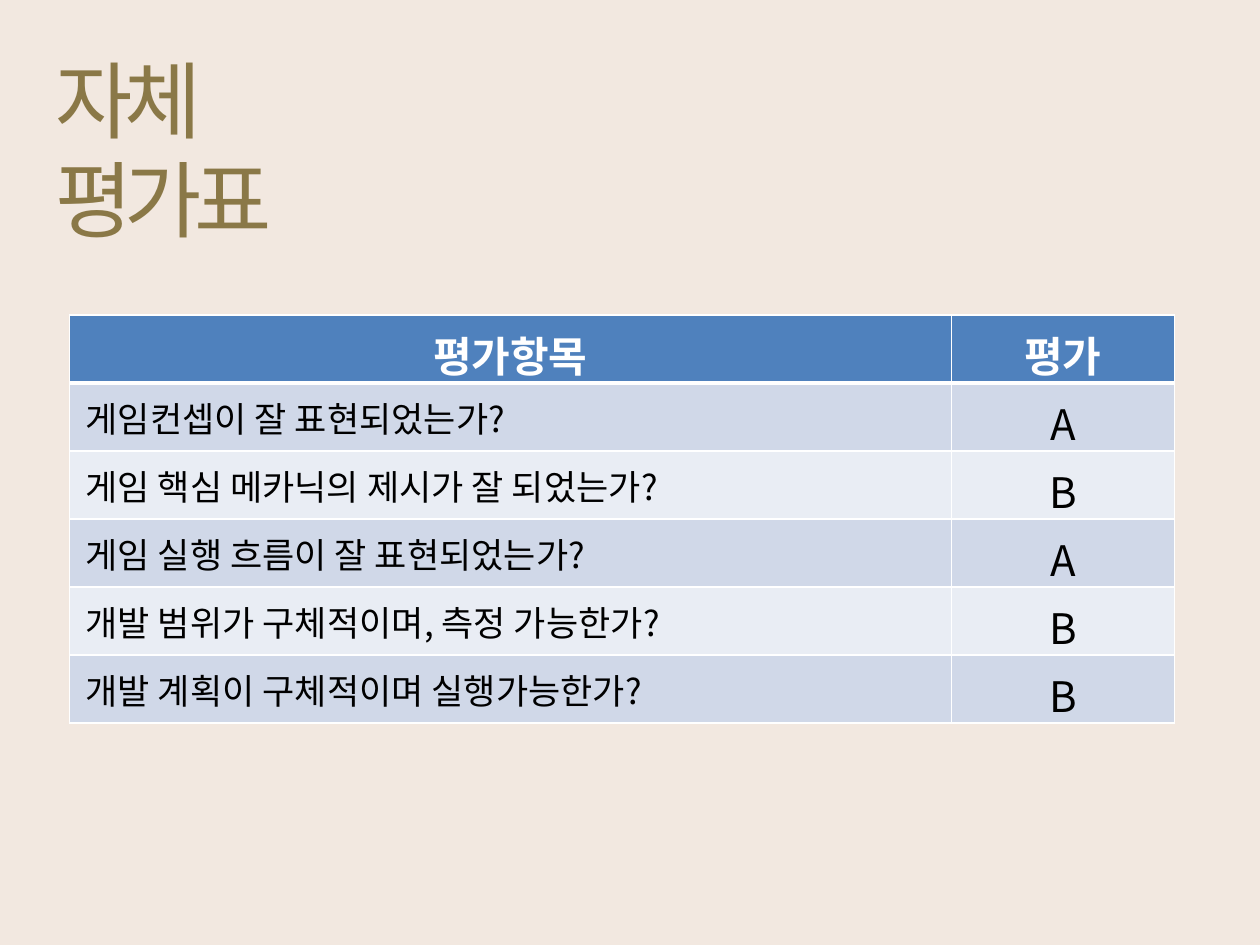
from pptx import Presentation
from pptx.dml.color import RGBColor as RGB
from pptx.enum.text import MSO_ANCHOR as Anchor, MSO_AUTO_SIZE as Fit, PP_ALIGN as Align
from pptx.oxml import parse_xml
from pptx.oxml.ns import nsdecls, qn
from pptx.oxml.xmlchemy import OxmlElement as Node
from pptx.util import Inches, Pt

FONT = "Noto Sans CJK KR"
HUES = {"back": "984807", "title": "7A662E", "head": "4F81BD",
        "odd": "D0D8E8", "even": "E9EDF4", "white": "FFFFFF", "ink": "000000"}
ROWS = [
    ("평가항목", "평가"),
    ("게임컨셉이 잘 표현되었는가?", "A"),
    ("게임 핵심 메카닉의 제시가 잘 되었는가?", "B"),
    ("게임 실행 흐름이 잘 표현되었는가?", "A"),
    ("개발 범위가 구체적이며, 측정 가능한가?", "B"),
    ("개발 계획이 구체적이며 실행가능한가?", "B"),
]


def paint(fill, hue):
    fill.solid()
    fill.fore_color.rgb = RGB.from_string(HUES[hue])


def fade(root, share):
    """Set the opacity of the first colour below root."""
    alpha = Node("a:alpha")
    alpha.set("val", str(int(share * 100000)))
    next(root.iter(qn("a:srgbClr"))).append(alpha)


def write(para, text, size, hue, bold=False):
    run = para.add_run()
    run.text = text
    font = run.font
    font.size, font.bold, font.name = Pt(size), bold, FONT
    paint(font.fill, hue)
    east = Node("a:ea")
    east.set("typeface", FONT)
    font._element.find(qn("a:latin")).addnext(east)
    return run


def edge(cell, widths):
    """Draw white cell borders, left, right, top and bottom."""
    props = cell._tc.get_or_add_tcPr()
    for spot, (side, width) in enumerate(zip("LRTB", widths)):
        props.insert(spot, parse_xml(
            f'<a:ln{side} {nsdecls("a")} w="{Pt(width)}"><a:solidFill>'
            f'<a:srgbClr val="{HUES["white"]}"/></a:solidFill></a:ln{side}>'))


def add_title(slide, box):
    shape = slide.shapes.title
    shape.left, shape.top, shape.width, shape.height = box
    frame = shape.text_frame
    frame.word_wrap, frame.auto_size = True, Fit.SHAPE_TO_FIT_TEXT
    frame.vertical_anchor = Anchor.TOP
    para = frame.paragraphs[0]
    para.alignment, para.line_spacing = Align.LEFT, Pt(57)
    run = write(para, "자체 평가표", 48, "title")
    run.font._element.set("spc", "-450")
    fade(run.font._element, 0.85)


def add_grades(slide, box):
    table = slide.shapes.add_table(len(ROWS), 2, *box).table
    wide = Inches(7)
    table.columns[0].width, table.columns[1].width = wide, box[2] - wide
    for r, row in enumerate(ROWS):
        head = r == 0
        for c, text in enumerate(row):
            cell = table.cell(r, c)
            cell.margin_left = cell.margin_right = Inches(0.13)
            cell.margin_top = cell.margin_bottom = Inches(0.07)
            paint(cell.fill, "head" if head else "odd" if r % 2 else "even")
            edge(cell, (1, 1, 3 if r == 1 else 1, 3 if head else 1))
            para = cell.text_frame.paragraphs[0]
            mid = head or c == 1
            para.alignment = Align.CENTER if mid else Align.LEFT
            write(para, text, 24 if mid else 20, "white" if head else "ink", head)


def main():
    deck = Presentation()
    deck.slide_width, deck.slide_height = Inches(10), Inches(7.5)
    slide = deck.slides.add_slide(deck.slide_layouts[5])
    # Pale background
    paint(slide.background.fill, "back")
    fade(slide.background._cSld, 0.12)
    # Heading and grade table
    add_title(slide, [Inches(n) for n in (0.34, 0.34, 3.09, 0.91)])
    add_grades(slide, [Inches(n) for n in (0.55, 2.5, 8.77, 3.2)])
    deck.save("out.pptx")


if __name__ == "__main__":
    main()
